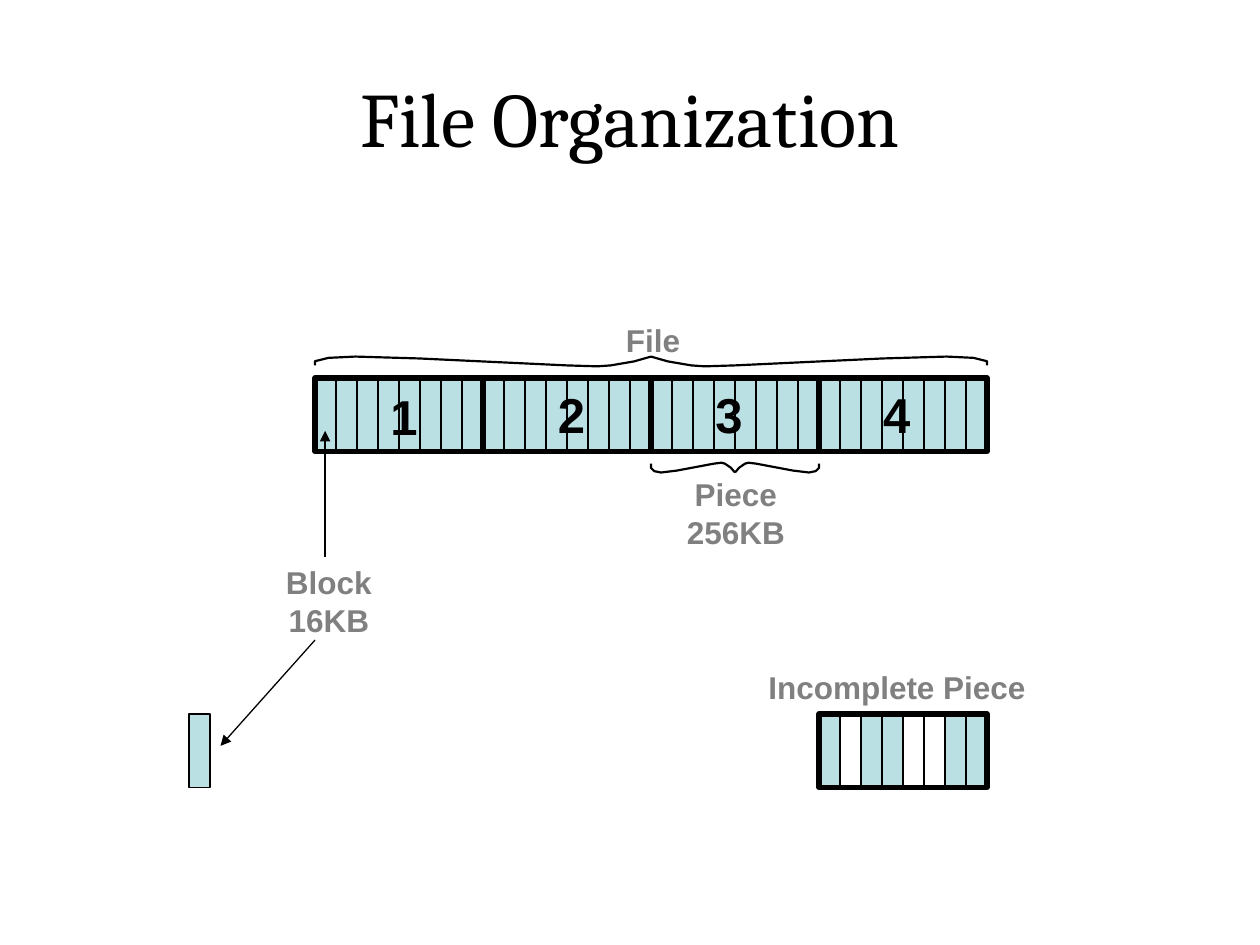
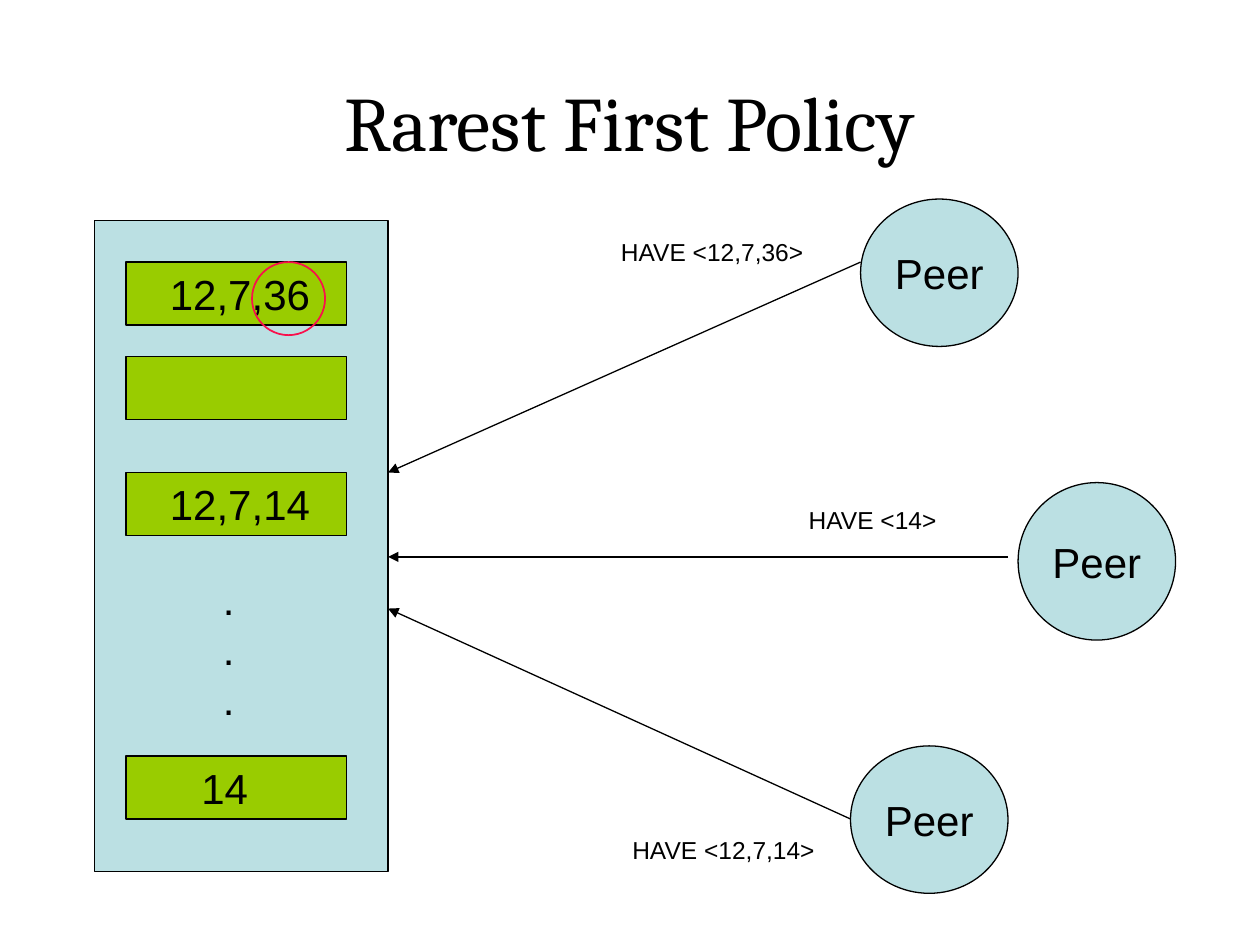
import pptx
import pptx.util
import pptx.dml.color
import pptx.enum.shapes
import pptx.enum.text
import pptx.oxml.ns
import lxml.etree

Inches = pptx.util.Inches
KIND = pptx.enum.shapes.MSO_SHAPE
ALIGN = pptx.enum.text.PP_ALIGN
ANCHOR = pptx.enum.text.MSO_ANCHOR
COLOURS = {"ink": "000000", "block": "BBE0E3", "label": "808080", "row": "99CC00", "ring": "F9104C"}
COLOURS = {name: pptx.dml.color.RGBColor.from_string(code) for name, code in COLOURS.items()}
TITLE = {"name": "Cambria", "size": 44}
LABEL = {"size": 18, "bold": True, "colour": "label"}
NUMBER = {"size": 28, "bold": True}
ENTRY = {"size": 24}
MESSAGE = {"size": 14}


def draw(page, kind, at, fill=None, weight=0.75, edge="ink"):
    box = page.shapes.add_shape(kind, *map(Inches, at))
    box.shadow.inherit = False
    if fill:
        box.fill.solid()
        box.fill.fore_color.rgb = COLOURS[fill]
    else:
        box.fill.background()
    box.line.color.rgb = COLOURS[edge]
    box.line.width = pptx.util.Pt(weight)
    return box


def write(box, lines, style, align=ALIGN.LEFT, anchor=ANCHOR.TOP):
    frame = box.text_frame
    frame.word_wrap = False
    frame.vertical_anchor = anchor
    frame.text = lines
    values = {"name": "Arial", "bold": False, **style}
    values["size"] = pptx.util.Pt(values["size"])
    colour = COLOURS[values.pop("colour", "ink")]
    for para in frame.paragraphs:
        para.alignment = align
        for span in para.runs:
            for name, value in values.items():
                setattr(span.font, name, value)
            span.font.color.rgb = colour


deck = pptx.Presentation()
deck.slide_width, deck.slide_height = Inches(10), Inches(7.5)
pages = []
for title, at in [
    ("File Organization", (0.5, 0.3, 9, 1.25)),
    ("Rarest First Policy", (0.75, 0.33, 8.5, 1.25)),
]:
    page = deck.slides.add_slide(deck.slide_layouts[6])
    write(page.shapes.add_textbox(*map(Inches, at)), title, TITLE, ALIGN.CENTER, ANCHOR.MIDDLE)
    pages.append(page)
file_page, policy_page = pages

block_width, block_height = 1 / 6, 7 / 12
piece_width = 8 * block_width
file_left, file_top, low_top = 2.5, 3, 17 / 3
draw(file_page, KIND.RECTANGLE, (1.5, low_top, block_width, block_height), "block")

pieces = [(file_left + index * piece_width, file_top, ()) for index in range(4)]
pieces.append((file_left + 3 * piece_width, low_top, (1, 4, 5)))
for left, top, missing in pieces:
    for index in range(8):
        fill = None if index in missing else "block"
        draw(file_page, KIND.RECTANGLE, (left + index * block_width, top, block_width, block_height), fill)
    draw(file_page, KIND.RECTANGLE, (left, top, piece_width, block_height), weight=3)

half_brace = [
    (0, 0.88), (0, 0.46), (0.04, 0.13), (0.12, 0), (0.31, 0.19),
    (0.75, 0.88), (0.84, 0.97), (0.88, 0.88), (0.95, 0.48), (1, 0),
]
for left, edge, half_width, depth in [
    (file_left, 2.83, 2 * piece_width, 0.08),
    (file_left + 2 * piece_width, 3.75, piece_width / 2, -0.08),
]:
    middle = left + half_width
    for side in (-1, 1):
        points = [(Inches(middle + side * (1 - x) * half_width), Inches(edge + y * depth)) for x, y in half_brace]
        builder = file_page.shapes.build_freeform(*points[0])
        builder.add_line_segments(points[1:], close=False)
        outline = builder.convert_to_shape()
        outline.shadow.inherit = False
        outline.fill.background()
        outline.line.color.rgb = COLOURS["ink"]
        outline.line.width = pptx.util.Pt(1.25)

for page, text, at, style, align in [
    (file_page, "Piece\v256KB", (5.35, 3.72, 0.98, 0.7), LABEL, ALIGN.CENTER),
    (file_page, "Block\v16KB", (2.17, 4.42, 0.88, 0.7), LABEL, ALIGN.CENTER),
    (file_page, "File", (4.87, 2.5, 0.63, 0.4), LABEL, ALIGN.LEFT),
    (file_page, "Incomplete Piece", (6, 5.25, 2.24, 0.4), LABEL, ALIGN.CENTER),
    (file_page, "1", (3, 3.02, 0.42, 0.57), NUMBER, ALIGN.LEFT),
    (file_page, "2", (4.33, 3, 0.42, 0.57), NUMBER, ALIGN.LEFT),
    (file_page, "3", (5.58, 3, 0.42, 0.57), NUMBER, ALIGN.LEFT),
    (file_page, "4", (6.91, 3, 0.42, 0.57), NUMBER, ALIGN.LEFT),
    (policy_page, "HAVE <12,7,36>", (4.83, 1.83, 1.66, 0.33), MESSAGE, ALIGN.LEFT),
    (policy_page, "HAVE <14>", (6.32, 3.96, 1.23, 0.33), MESSAGE, ALIGN.LEFT),
    (policy_page, "HAVE <12,7,14>", (4.92, 6.58, 1.66, 0.33), MESSAGE, ALIGN.LEFT),
]:
    write(page.shapes.add_textbox(*map(Inches, at)), text, style, align)

draw(policy_page, KIND.RECTANGLE, (0.75, 1.75, 2.33, 5.17), "block")
for top in (2.08, 2.83, 3.75, 6):
    draw(policy_page, KIND.RECTANGLE, (1, top, 1.75, 0.5), "row")
for text, at in [
    ("12,7,36", (1.25, 2.08, 1.31, 0.5)),
    ("12,7,14", (1.25, 3.75, 1.31, 0.5)),
    (".\n.\n.", (1.67, 4.5, 0.29, 1.3)),
    ("14", (1.5, 6, 0.57, 0.5)),
]:
    write(policy_page.shapes.add_textbox(*map(Inches, at)), text, ENTRY)
draw(policy_page, KIND.OVAL, (2, 2.08, 0.58, 0.58), weight=1, edge="ring")
for at in [(6.83, 1.58, 1.25, 1.17), (8.08, 3.83, 1.25, 1.25), (6.75, 5.92, 1.25, 1.17)]:
    write(draw(policy_page, KIND.OVAL, at, "block"), "Peer", ENTRY, ALIGN.CENTER, ANCHOR.MIDDLE)

for page, ends in [
    (file_page, (2.58, 4.42, 2.58, 3.42)),
    (file_page, (2.5, 5.08, 1.75, 5.92)),
    (policy_page, (6.83, 2.08, 3.08, 3.75)),
    (policy_page, (8, 4.42, 3.08, 4.42)),
    (policy_page, (6.75, 6.5, 3.08, 4.83)),
]:
    arrow = page.shapes.add_connector(pptx.enum.shapes.MSO_CONNECTOR.STRAIGHT, *map(Inches, ends))
    arrow.line.color.rgb = COLOURS["ink"]
    arrow.line.width = pptx.util.Pt(0.75)
    lxml.etree.SubElement(arrow.line._get_or_add_ln(), pptx.oxml.ns.qn("a:tailEnd"), type="triangle")
    lxml.etree.SubElement(arrow._element.spPr, pptx.oxml.ns.qn("a:effectLst"))

deck.save("out.pptx")
